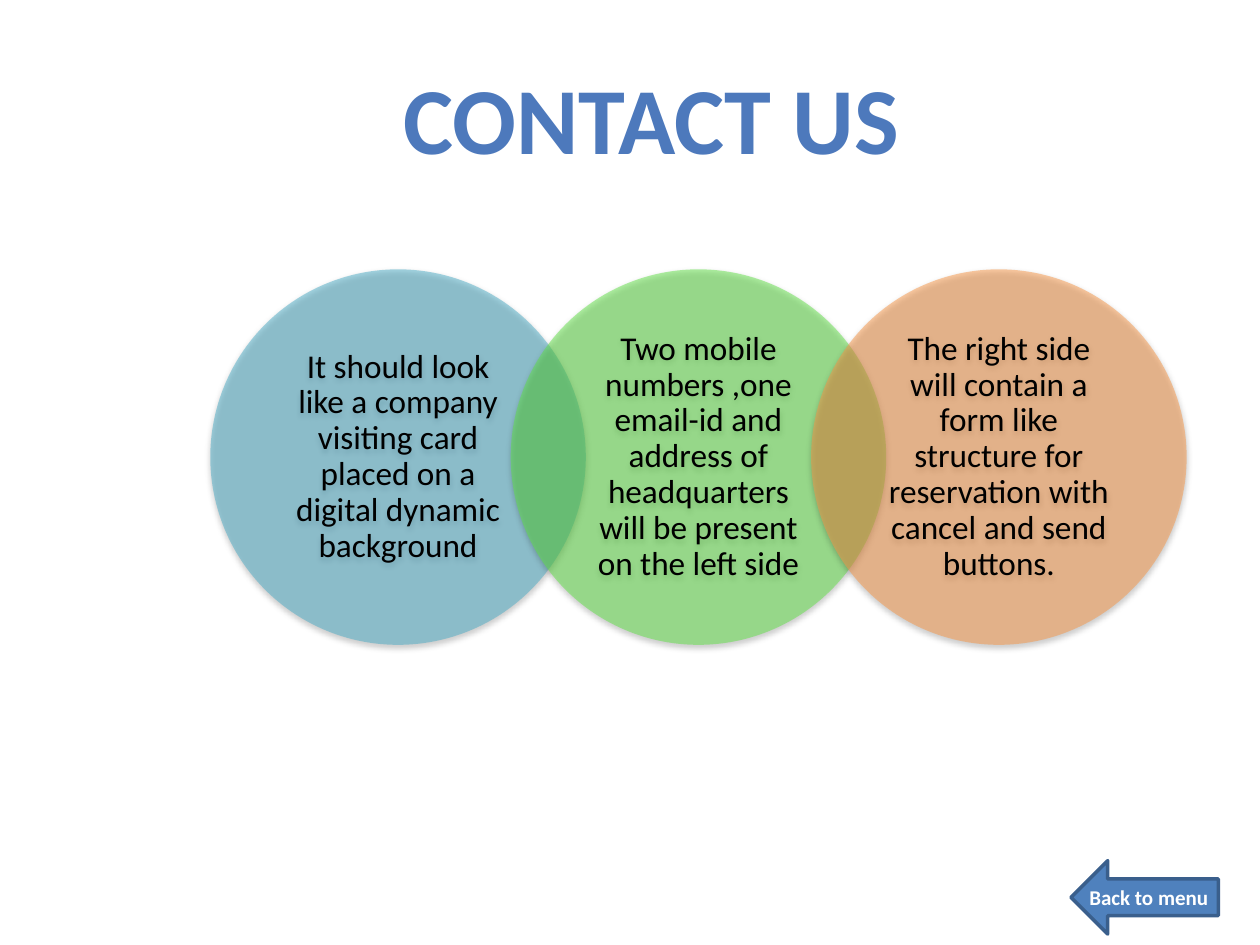
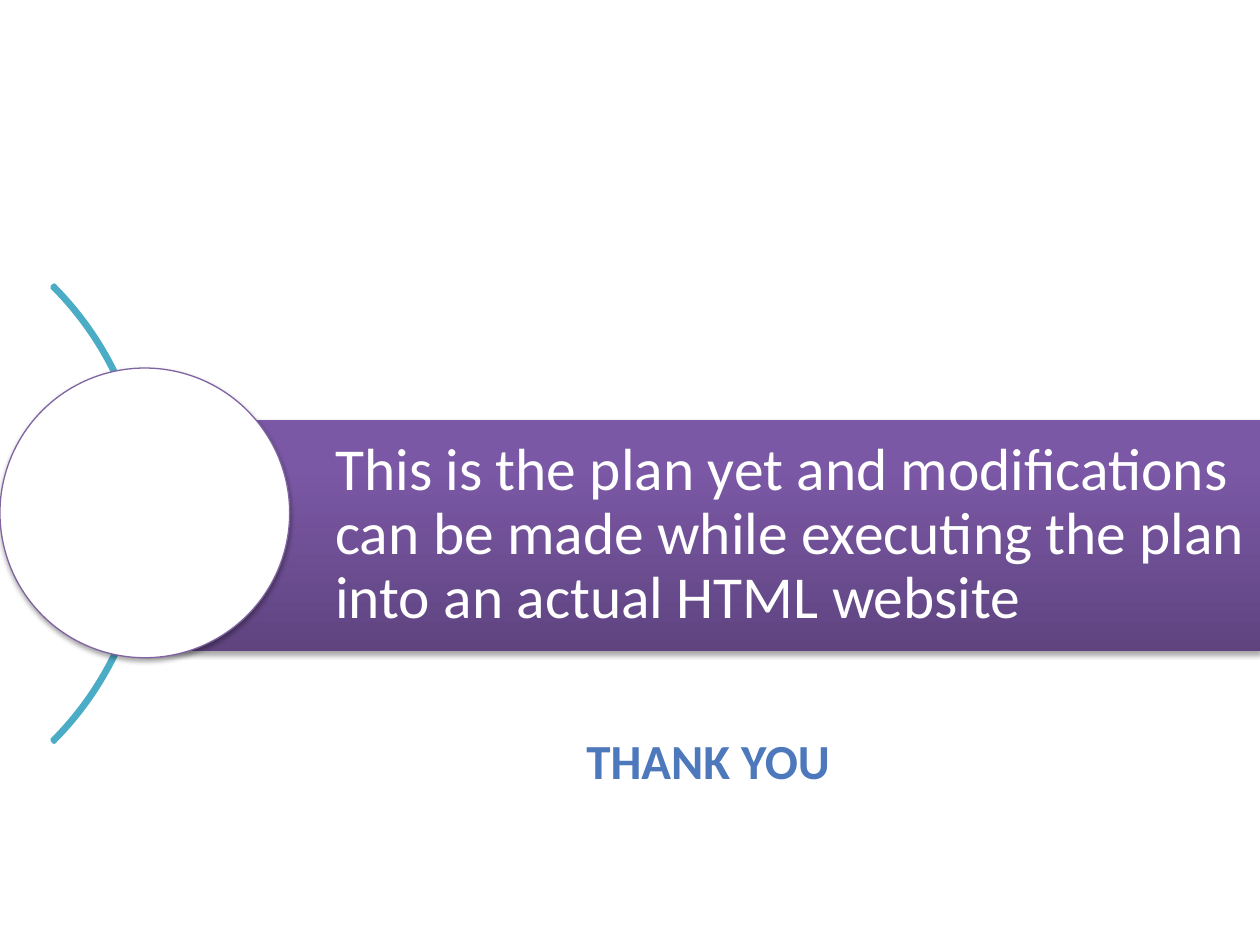
import lxml.etree
import pptx
import pptx.dml.color
import pptx.enum.shapes
import pptx.enum.text
import pptx.oxml.ns
import pptx.util

Cm = pptx.util.Cm
Pt = pptx.util.Pt
RGBColor = pptx.dml.color.RGBColor
MSO_SHAPE = pptx.enum.shapes.MSO_SHAPE
MSO_ANCHOR = pptx.enum.text.MSO_ANCHOR
PP_ALIGN = pptx.enum.text.PP_ALIGN
qn = pptx.oxml.ns.qn

FONT = "Calibri"
COLOURS = {
    "title": "4D79BC", "text": "000000", "white": "FFFFFF",
    "teal": "4BACC6", "green": "60E146", "orange": "F79646",
    "arrow": "4F81BD", "arrow line": "3A5F8C",
    "band dark": "5F4480", "band light": "7B58A6", "ring": "8064A2",
}


def write(shape, text, size, colour, align, bold=False, spacing=None, insets=None):
    """Put one formatted run in the shape, with insets in cm (left, top, right, bottom)."""
    frame = shape.text_frame
    frame.auto_size = pptx.enum.text.MSO_AUTO_SIZE.NONE
    frame.word_wrap = True
    frame.vertical_anchor = MSO_ANCHOR.MIDDLE
    if insets:
        (frame.margin_left, frame.margin_top,
         frame.margin_right, frame.margin_bottom) = [Cm(inset) for inset in insets]
    paragraph = frame.paragraphs[0]
    paragraph.alignment = align
    paragraph.line_spacing = spacing
    run = paragraph.add_run()
    run.text = text
    run.font.name = FONT
    run.font.size = Pt(size)
    run.font.bold = bold
    run.font.color.rgb = RGBColor.from_string(COLOURS[colour])


def add_figure(slide, kind, box, fill=None, line=None, line_width=1, shadow=0):
    """Add a preset shape at a box in cm; shadow is its opacity in percent."""
    shape = slide.shapes.add_shape(kind, *[Cm(length) for length in box])
    shape.shadow.inherit = False
    if fill:
        shape.fill.solid()
        shape.fill.fore_color.rgb = RGBColor.from_string(COLOURS[fill])
    else:
        shape.fill.background()
    if line:
        shape.line.color.rgb = RGBColor.from_string(COLOURS[line])
        shape.line.width = Pt(line_width)
    else:
        shape.line.fill.background()
    if shadow:
        effects = shape._element.spPr.find(qn("a:effectLst"))
        outer = lxml.etree.SubElement(
            effects, qn("a:outerShdw"), blurRad=str(Pt(3.1)), dist=str(Pt(1.7)),
            dir="5400000", rotWithShape="0")
        black = lxml.etree.SubElement(outer, qn("a:srgbClr"), val="000000")
        lxml.etree.SubElement(black, qn("a:alpha"), val=str(shadow * 1000))
    return shape


presentation = pptx.Presentation()
presentation.slide_width = Cm(25.4)
presentation.slide_height = Cm(19.05)

# Both slides carry one bold blue title
titles = [
    ("CONTACT US", 54, (7.82, 1.07, 10.62, 2.57)),
    ("THANK YOU", 28, (7.39, 14.6, 13.77, 1.45)),
]
slides = []
for text, size, box in titles:
    slide = presentation.slides.add_slide(presentation.slide_layouts[5])
    title = slide.shapes.title
    title.left, title.top, title.width, title.height = [Cm(length) for length in box]
    write(title, text, size, "title", PP_ALIGN.CENTER, bold=True)
    slides.append(slide)
contact_slide, closing_slide = slides

# Contact: three translucent circles, each overlapping the last by a fifth
circles = [
    ("teal", "It should look like a company visiting card placed on a digital "
             "dynamic background"),
    ("green", "Two mobile numbers ,one email-id and address of headquarters will "
              "be present on the left side"),
    ("orange", "The right side will contain a form like structure for reservation "
               "with cancel and send buttons."),
]
diameter = 7.57
for index, (colour, text) in enumerate(circles):
    left = 4.24 + index * 0.8 * diameter
    circle = add_figure(contact_slide, MSO_SHAPE.OVAL, (left, 5.43, diameter, diameter),
                        fill=colour, shadow=38)
    fill_colour = circle._element.spPr.find(qn("a:solidFill"))[0]
    lxml.etree.SubElement(fill_colour, qn("a:alpha"), val="50000")
    write(circle, text, 19, "text", PP_ALIGN.CENTER, spacing=0.9,
          insets=(0.41, 0.08, 0.41, 0.08))

back_arrow = add_figure(contact_slide, MSO_SHAPE.LEFT_ARROW, (21.59, 17.35, 2.97, 1.48),
                        fill="arrow", line="arrow line", line_width=2)
write(back_arrow, "Back to menu", 12, "white", PP_ALIGN.LEFT, bold=True, insets=(0, 0, 0, 0))

# Closing: an arc behind a purple band that starts in a white circle
arc = add_figure(closing_slide, MSO_SHAPE.BLOCK_ARC, (-10.03, 3.84, 13.03, 13.03),
                 line="teal", line_width=2)
for index, value in enumerate((189, 27, 0.005)):
    arc.adjustments[index] = value

band = add_figure(closing_slide, MSO_SHAPE.RECTANGLE, (2.92, 8.46, 22.48, 4.67), shadow=35)
band.fill.gradient()
band.fill.gradient_angle = 90
stops = [("band dark", 0), ("band light", 0.8)]
for stop, (colour, position) in zip(band.fill.gradient_stops, stops):
    stop.color.rgb = RGBColor.from_string(COLOURS[colour])
    stop.position = position
write(band, "This is the plan yet and modifications can be made while executing the plan "
            "into an actual HTML website", 34, "white", PP_ALIGN.LEFT, spacing=0.9,
      insets=(3.84, 0.23, 0.23, 0.23))

add_figure(closing_slide, MSO_SHAPE.OVAL, (0, 7.42, 5.84, 5.84),
           fill="white", line="ring", line_width=0.75, shadow=35)

presentation.save("out.pptx")
